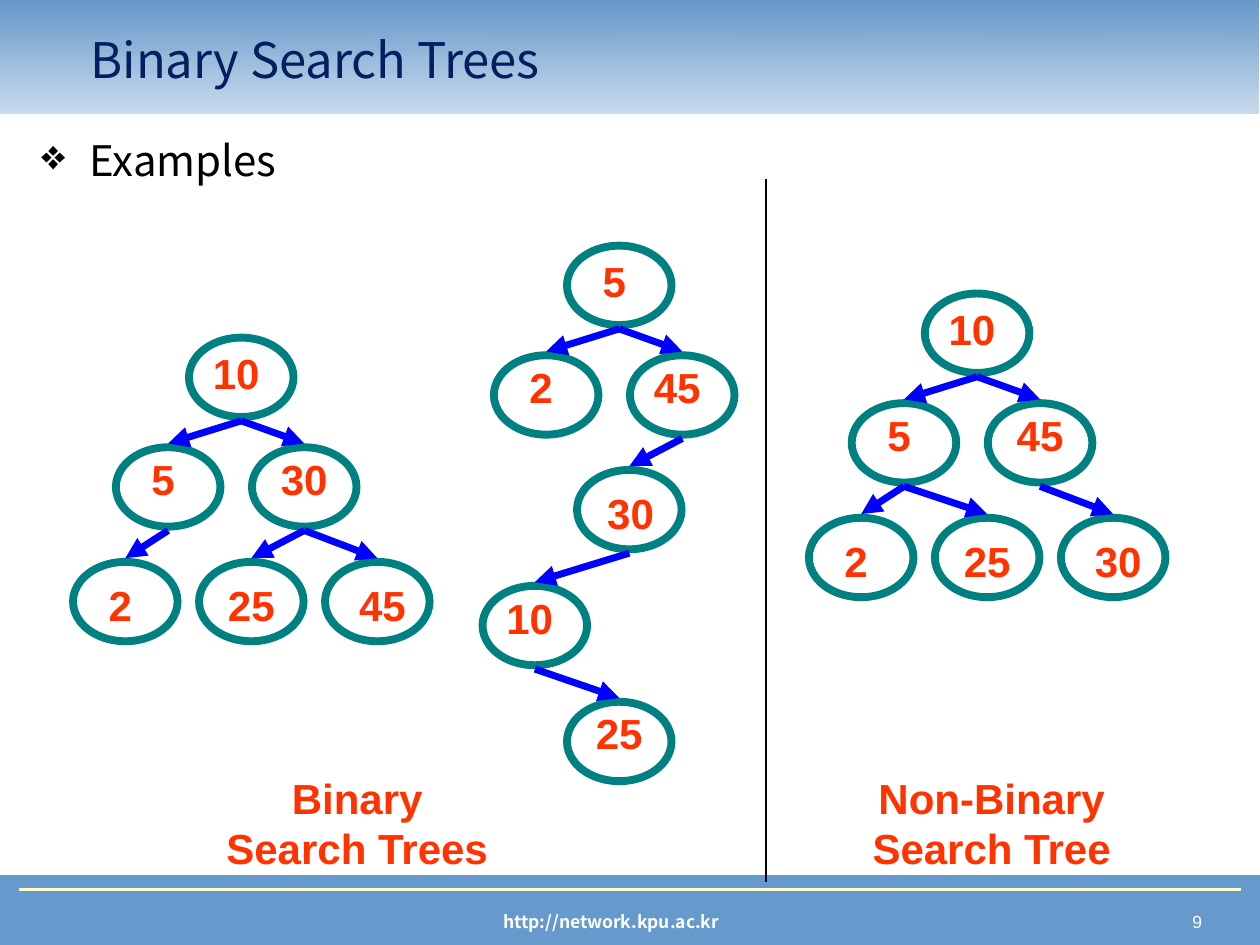
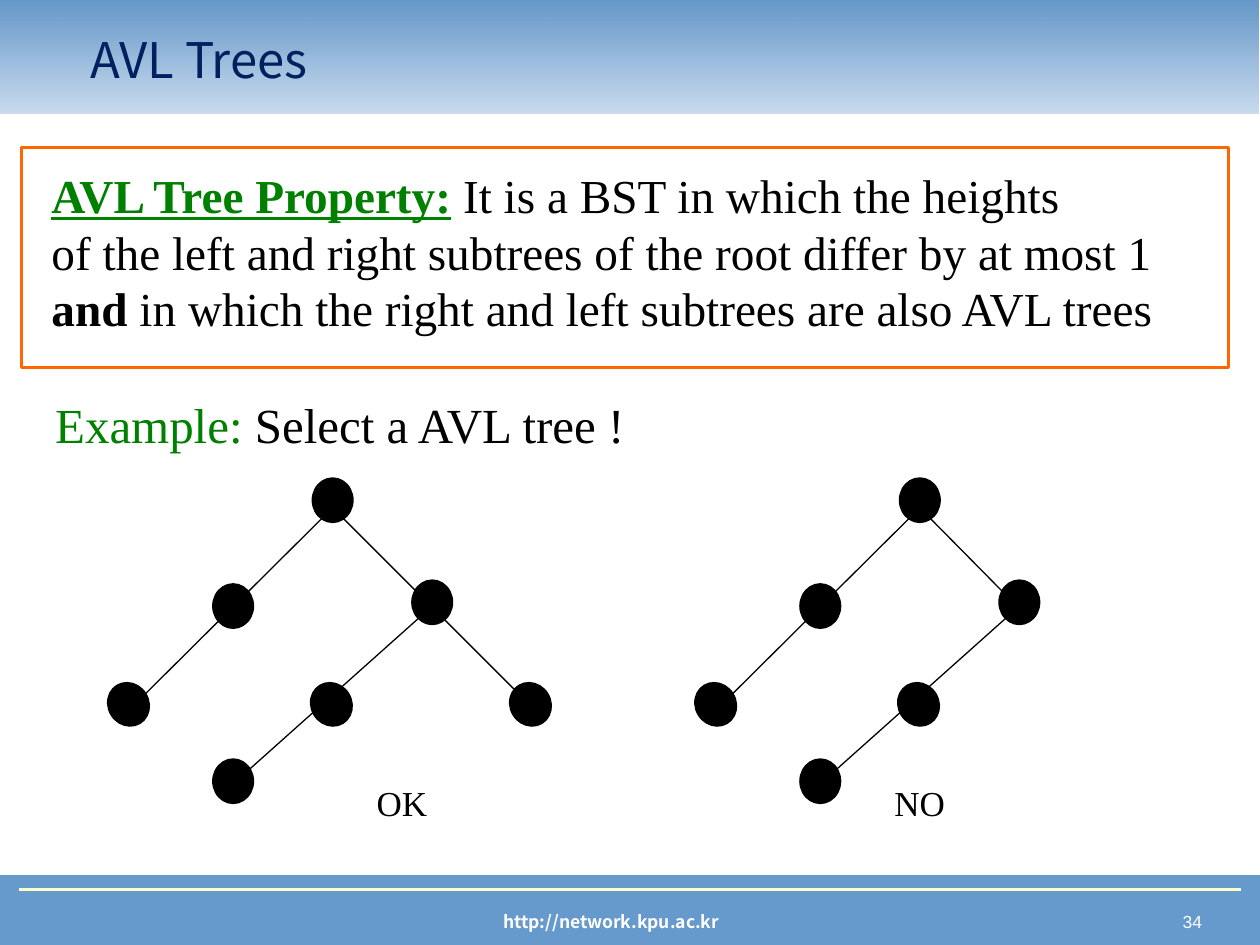
from lxml.etree import SubElement
from pptx import Presentation
from pptx.dml.color import RGBColor
from pptx.enum.shapes import MSO_CONNECTOR, MSO_SHAPE
from pptx.enum.text import MSO_ANCHOR, PP_ALIGN
from pptx.oxml.ns import qn
from pptx.util import Inches, Pt

BLUE, NAVY, GREEN, RED = "6699CC", "002060", "008000", "FF3300"
TEAL, ARROW_BLUE, BLACK, WHITE = "008080", "0000FF", "000000", "FFFFFF"
SANS, SERIF, HEADING = "Arial", "Times New Roman", "Noto Sans CJK KR"

TITLE = {"size": Pt(28), "name": HEADING, "color": NAVY}
TOPIC = {"size": Pt(24), "name": HEADING, "color": BLACK}
ADDRESS = {"size": Pt(10), "name": HEADING, "color": WHITE, "bold": True}
NUMBER = {"size": Pt(10), "name": SANS, "color": WHITE}
LABEL = {"size": Pt(24), "name": SANS, "color": RED, "bold": True}
PROPERTY = {"size": Pt(27), "name": SERIF, "color": BLACK}
QUESTION = {"size": Pt(28), "name": SERIF, "color": BLACK}
VERDICT = {"size": Pt(20), "name": SERIF, "color": BLACK}

NODE_WIDTH, NODE_HEIGHT, ARROW_GAP = 0.83, 0.63, 0.03
THREE_LEVELS = [
    (0.92, 0, 0.04, 0.03), (0.34, 0.87, 0.04, 0), (1.42, 0.87, 0.08, 0),
    (0, 1.78, 0.04, 0.09), (1, 1.78, 0.08, 0.09), (2, 1.78, 0.12, 0.09),
]
FIVE_LEVELS = [
    (0.67, 0, 0.04, 0.03), (0.09, 0.87, 0.04, 0), (1.17, 0.87, 0.04, 0),
    (0.75, 1.78, 0.09, 0.09), (0, 2.7, 0.04, 0), (0.67, 3.62, 0.08, 0),
]
SEARCH_TREES = [
    (0.58, 2.68, THREE_LEVELS, (10, 5, 30, 2, 25, 45),
     [(0, 1), (0, 2), (1, 3), (2, 4), (2, 5)]),
    (6.42, 2.33, THREE_LEVELS, (10, 5, 45, 2, 25, 30),
     [(0, 1), (0, 2), (1, 3), (1, 4), (2, 5)]),
    (3.83, 1.95, FIVE_LEVELS, (5, 2, 45, 30, 10, 25),
     [(0, 1), (0, 2), (2, 3), (3, 4), (4, 5)]),
]

DOT_WIDTH, DOT_HEIGHT, LEAF_TURN = 0.32, 0.35, 58.8
DOTS = [(1.8, 0.18, 0), (1.01, 1.02, 0), (2.59, 0.99, 0), (1.01, 2.41, 0),
        (0.18, 1.8, LEAF_TURN), (1.79, 1.8, LEAF_TURN)]
RIGHT_LEAF = (3.37, 1.8, LEAF_TURN)


def color(value):
    """Turn a hex string into a colour."""
    return RGBColor.from_string(value)


def add_figure(shapes, kind, box, fill=None, line=None, width=1):
    """Add a preset shape with an optional fill and outline."""
    figure = shapes.add_shape(kind, *map(Inches, box))
    figure.shadow.inherit = False
    if fill:
        figure.fill.solid()
        figure.fill.fore_color.rgb = color(fill)
    else:
        figure.fill.background()
    if line:
        figure.line.color.rgb = color(line)
        figure.line.width = Pt(width)
    else:
        figure.line.fill.background()
    return figure


def add_line(shapes, start, end, line, width, arrow=False):
    """Add a straight line, with an arrowhead at its end on request."""
    connector = shapes.add_connector(
        MSO_CONNECTOR.STRAIGHT, *map(Inches, (*start, *end)))
    connector.line.color.rgb = color(line)
    connector.line.width = Pt(width)
    properties = connector._element.spPr
    if arrow:
        SubElement(properties.find(qn("a:ln")), qn("a:tailEnd"), type="triangle")
    SubElement(properties, qn("a:effectLst"))


def add_text(page, box, paragraphs, style, align=PP_ALIGN.LEFT,
             anchor=MSO_ANCHOR.TOP):
    """Add a text box; each paragraph lists spans of text and changed formats."""
    frame = page.shapes.add_textbox(*map(Inches, box)).text_frame
    frame.word_wrap = True
    frame.vertical_anchor = anchor
    for index, spans in enumerate(paragraphs):
        para = frame.add_paragraph() if index else frame.paragraphs[0]
        para.alignment = align
        for words, changes in spans:
            span = para.add_run()
            span.text = words
            for name, value in {**style, **changes}.items():
                if name == "color":
                    span.font.color.rgb = color(value)
                else:
                    setattr(span.font, name, value)
    return frame


def add_header(page, box, title):
    """Draw the fading band with the slide title."""
    left, top, width, height = box
    band = add_figure(page.shapes, MSO_SHAPE.RECTANGLE, box)
    band.fill.gradient()
    band.fill.gradient_angle = 90
    for stop, value in zip(band.fill.gradient_stops, (BLUE, "6497C9")):
        stop.color.rgb = color(value)
    pale = next(band._element.spPr.iter(qn("a:srgbClr")))
    SubElement(pale, qn("a:alpha"), val="35000")
    add_text(page, (left + 0.63, top + 0.16, 8.44, 0.62), [[(title, {})]],
             TITLE, anchor=MSO_ANCHOR.MIDDLE)


def add_footer(page, box, number):
    """Draw the footer band with its rule, address and page number."""
    left, top, width, height = box
    add_figure(page.shapes, MSO_SHAPE.RECTANGLE, box, BLUE, BLUE, 0.75)
    rule = top + 0.11
    add_line(page.shapes, (left + 0.15, rule), (left + width - 0.15, rule),
             "FFFFCC", 1.5)
    add_text(page, (left + 2.27, top + 0.23, 5.16, 0.27),
             [[("http://network.kpu.ac.kr", {})]], ADDRESS, PP_ALIGN.CENTER)
    frame = add_text(page, (left + 7.42, top + 0.23, 2.26, 0.27),
                     [[(str(number), {})]], NUMBER, PP_ALIGN.RIGHT)
    frame.margin_right = Inches(0.14)


def add_page(deck, title, number):
    """Add a blank slide with the shared header and footer."""
    page = deck.slides.add_slide(deck.slide_layouts[6])
    add_footer(page, (0, 6.95, 10, 0.55), number)
    add_header(page, (-0.01, 0, 10, 0.9), title)
    return page


def add_topic(page, box, words):
    """Add the bulleted topic line."""
    frame = add_text(page, box, [[(words, {})]], TOPIC)
    properties = frame.paragraphs[0]._p.get_or_add_pPr()
    indent = Inches(0.38)
    properties.set("marL", str(indent))
    properties.set("indent", str(-indent))
    SubElement(SubElement(properties, qn("a:buClr")), qn("a:srgbClr"), val=BLACK)
    SubElement(properties, qn("a:buChar"), char="❖")


def add_search_tree(page, left, top, nodes, keys, edges):
    """Draw a tree of numbered ovals joined by arrows."""
    for (x, y, shift, drop), key in zip(nodes, keys):
        x, y = left + x, top + y
        add_figure(page.shapes, MSO_SHAPE.OVAL, (x, y, NODE_WIDTH, NODE_HEIGHT),
                   line=TEAL, width=4.5)
        add_text(page, (x + shift, y + drop, 0.67, 0.5), [[(str(key), {})]],
                 LABEL, PP_ALIGN.CENTER)
    for parent, child in edges:
        ends = [(left + nodes[node][0] + NODE_WIDTH / 2, top + nodes[node][1] + drop)
                for node, drop in ((parent, NODE_HEIGHT + ARROW_GAP),
                                   (child, -ARROW_GAP))]
        add_line(page.shapes, *ends, ARROW_BLUE, 4, arrow=True)


def add_dot_tree(page, left, top, dots, right_end):
    """Draw a grouped tree of black dots whose right branch stops at right_end."""
    group = page.shapes.add_group_shape().shapes
    for x, y, turn in dots:
        width, height = (DOT_HEIGHT, DOT_WIDTH) if turn else (DOT_WIDTH, DOT_HEIGHT)
        box = (left + x - width / 2, top + y - height / 2, width, height)
        dot = add_figure(group, MSO_SHAPE.OVAL, box, BLACK, BLACK)
        dot.rotation = turn
    root, right = (1.8, 0.24), (2.58, 1.03)
    for ends in (((0.22, 1.81), root), (root, right_end), (right, (1.09, 2.36))):
        add_line(group, *[(left + x, top + y) for x, y in ends], BLACK, 0.75)


def add_property(page, box):
    """Draw the framed definition of an AVL tree."""
    left, top, width, height = box
    add_text(page, (left + 0.14, top + 0.1, width - 0.4, 1.45), [
        [("AVL Tree Property:", {"color": GREEN, "bold": True, "underline": True}),
         (" It is a BST in which the heights", {})],
        [("of the left and right subtrees of the root differ by at most 1", {})],
        [("and", {"bold": True}),
         (" in which the right and left subtrees are also AVL trees", {})],
    ], PROPERTY)
    add_figure(page.shapes, MSO_SHAPE.RECTANGLE, box, line="FF6600", width=1.75)


def build_search_trees(deck):
    """Build the slide that compares search trees."""
    page = add_page(deck, "Binary Search Trees", 9)
    add_topic(page, (0.23, 1.02, 9.45, 5.78), "Examples")
    for tree in SEARCH_TREES:
        add_search_tree(page, *tree)
    for left, width, words in ((1.67, 2.33, "Binary Search Trees"),
                               (6.58, 2.58, "Non-Binary Search Tree")):
        add_text(page, (left, 6.08, width, 0.9), [[(words, {})]], LABEL,
                 PP_ALIGN.CENTER)
    add_line(page.shapes, (6.08, 1.42), (6.08, 7), BLACK, 1)


def build_avl_trees(deck):
    """Build the slide that defines AVL trees."""
    page = add_page(deck, "AVL Trees", 34)
    add_property(page, (0.17, 1.17, 9.58, 1.75))
    add_text(page, (0.34, 3.08, 4.8, 0.57),
             [[("Example: ", {"color": GREEN}), ("Select a AVL tree !", {})]],
             QUESTION)
    add_dot_tree(page, 0.84, 3.79, DOTS + [RIGHT_LEAF], (3.37, 1.81))
    add_dot_tree(page, 5.5, 3.79, DOTS, (2.58, 1.03))
    for left, words in ((2.79, "OK"), (6.9, "NO")):
        add_text(page, (left, 6.15, 0.8, 0.44), [[(words, {})]], VERDICT,
                 PP_ALIGN.CENTER)


def main():
    """Build and save the deck."""
    deck = Presentation()
    deck.slide_width, deck.slide_height = Inches(10), Inches(7.5)
    build_search_trees(deck)
    build_avl_trees(deck)
    deck.save("out.pptx")


if __name__ == "__main__":
    main()
